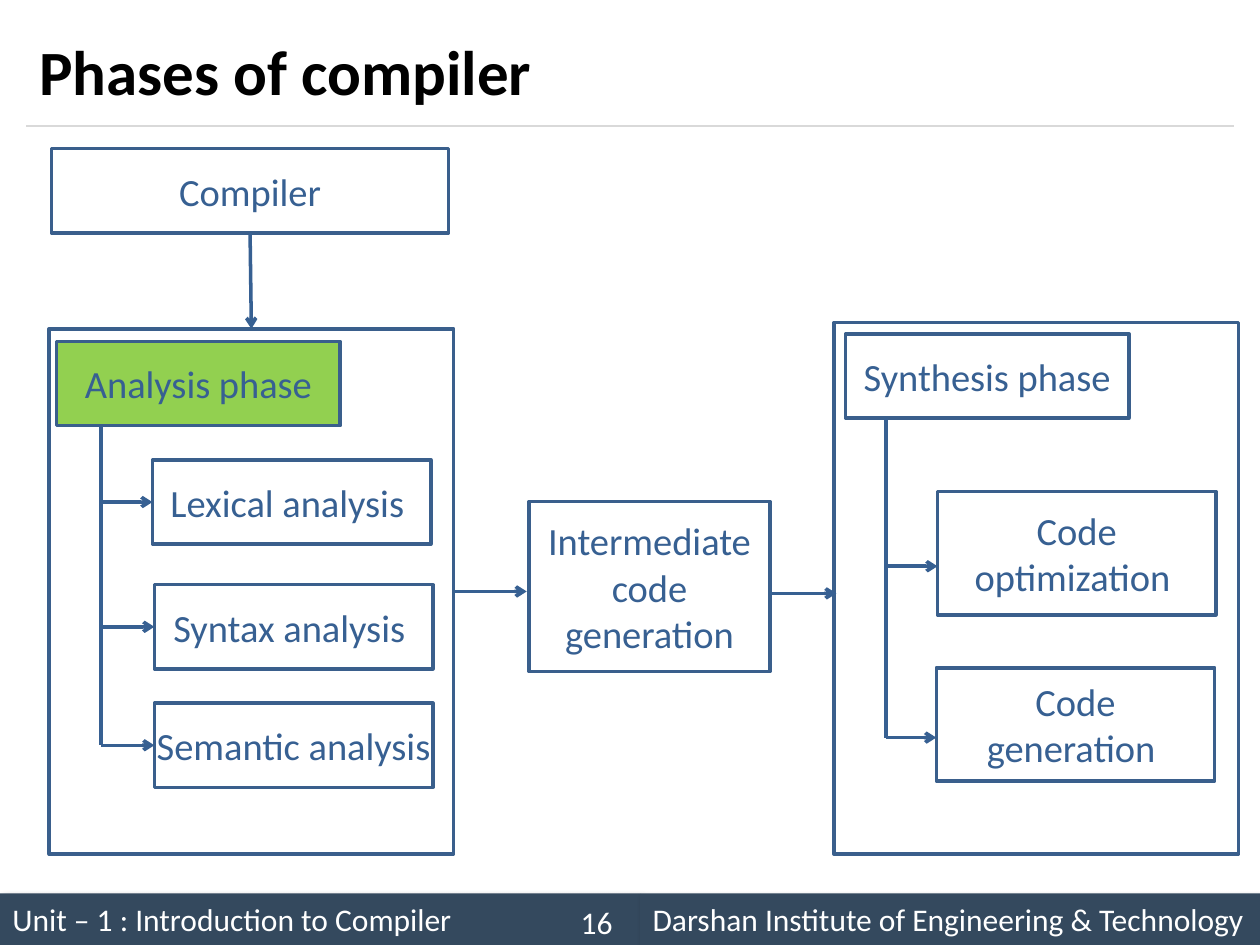
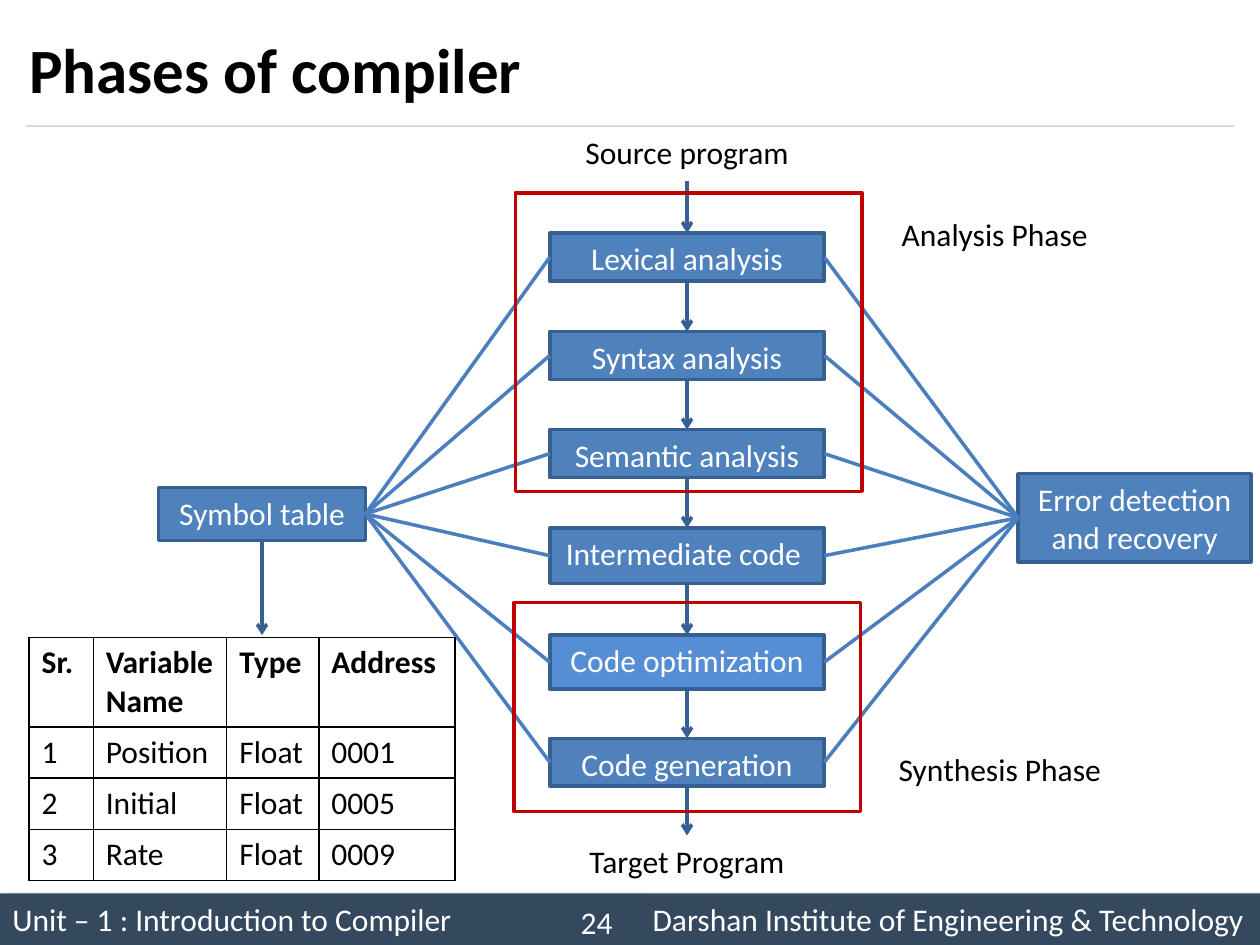
import itertools
import pptx
import pptx.util
import pptx.dml.color
import pptx.enum.shapes
import pptx.enum.text
import pptx.oxml
import pptx.oxml.ns
from lxml import etree

Pt = pptx.util.Pt
ANCHOR = pptx.enum.text.MSO_ANCHOR
ALIGN = pptx.enum.text.PP_ALIGN
RECT = pptx.enum.shapes.MSO_SHAPE.RECTANGLE
STRAIGHT = pptx.enum.shapes.MSO_CONNECTOR.STRAIGHT
TOP, LEFT, BASE, RIGHT = range(4)

FONT = "Calibri"
WHITE, BLACK, SLATE, GRAY = "FFFFFF", "000000", "34495E", "D9D9D9"
NAVY, EDGE, BLUE, SKY = "376092", "3A5F8C", "4F81BD", "558ED5"
WIRE, GREEN, RED = "4B7EBC", "92D050", "C00000"

TITLE = "Phases of compiler"
UNIT = "Unit – 1 : Introduction to Compiler"
SCHOOL = "Darshan Institute of Engineering & Technology"

START = ("Compiler", (29.5, 85, 226.8, 48.2))
MIDDLE = ("Intermediate code generation", (302.4, 286.6, 137.5, 97.2))
GROUPS = [
    {
        "frame": (28.1, 187.9, 231.1, 300.2),
        "head": ("Analysis phase", (32.4, 195.1, 162, 48.2), GREEN),
        "trunk": 57.6, "drop": 0,
        "parts": [
            ("Lexical analysis ", (87.1, 262.8, 159.1, 48.2)),
            ("Syntax analysis ", (88.2, 334.1, 159.1, 48.2)),
            ("Semantic analysis ", (88.2, 401.8, 159.1, 48.2)),
        ],
    },
    {
        "frame": (476.6, 184.3, 231.1, 303.8),
        "head": ("Synthesis phase", (483.1, 190.8, 162, 48.2), None),
        "trunk": 506.2, "drop": 7.5,
        "parts": [
            ("Code optimization ", (535.7, 280.8, 159.1, 70.6)),
            ("Code generation ", (535, 381.6, 159.1, 64.8)),
        ],
    },
]

STAGES = [
    ("Lexical analysis", 133.2, 27.4, BLUE),
    ("Syntax analysis", 189.4, 27.4, BLUE),
    ("Semantic analysis", 245.5, 27.4, BLUE),
    ("Intermediate code ", 301.7, 31.7, BLUE),
    ("Code optimization", 362.9, 31, SKY),
    ("Code generation", 421.9, 27.4, BLUE),
]
STAGE_X, STAGE_W, ENDS_W = 314.2, 156.8, 144
SOURCE = ("Source program", 72.7, 31)
TARGET = ("Target Program", 477.4, 27.4)
SYMBOL = ("Symbol table", (90.7, 278.6, 118.1, 30.2))
ERROR = ("Error detection and recovery", (581.8, 270.7, 133.2, 50.4))
LABELS = [
    ("Analysis Phase", (501.8, 119.5, 133.2, 36.7)),
    ("Synthesis Phase", (504.7, 424.8, 133.2, 36.7)),
]
FRAMES = [(294.5, 110.2, 198, 170.6), (293.8, 344.2, 198, 119.5)]
TABLE_AT = (16.6, 364.3)
COLS = [36.7, 76.3, 52.6, 77.8]
ROWS = [51.2, 29.2, 29.2, 29.2]
CELLS = [
    ("Sr.", "Variable\nName", "Type", "Address"),
    ("1", "Position", "Float", "0001"),
    ("2", "Initial", "Float", "0005"),
    ("3", "Rate", "Float", "0009"),
]


def paint(fmt, hue):
    if hue is None:
        fmt.background()
    else:
        fmt.solid()
        fmt.fore_color.rgb = pptx.dml.color.RGBColor.from_string(hue)


def write(frame, text, size, hue, bold=False, align=ALIGN.LEFT):
    for i, line in enumerate(text.split("\n")):
        para = frame.add_paragraph() if i else frame.paragraphs[0]
        para.alignment = align
        run = para.add_run()
        run.text = line
        run.font.name, run.font.size, run.font.bold = FONT, Pt(size), bold
        paint(run.font.fill, hue)


def box(slide, text, at, fill=None, edge=None, size=22, hue=NAVY,
        anchor=ANCHOR.MIDDLE, align=ALIGN.CENTER, inset=7.2):
    shape = slide.shapes.add_shape(RECT, *map(Pt, at))
    shape.shadow.inherit = False
    paint(shape.fill, fill)
    paint(shape.line.fill, edge)
    if edge:
        shape.line.width = Pt(2)
    frame = shape.text_frame
    frame.word_wrap = True
    frame.vertical_anchor = anchor
    frame.margin_left = frame.margin_right = Pt(inset)
    if text:
        write(frame, text, size, hue, align=align)
    return shape


def spot(end):
    return (0, 0) if hasattr(end[0], "shape_id") else map(Pt, end)


def link(slide, start, end, hue=NAVY, head=True, width=2):
    line = slide.shapes.add_connector(STRAIGHT, *spot(start), *spot(end))
    if hasattr(start[0], "shape_id"):
        line.begin_connect(*start)
    if hasattr(end[0], "shape_id"):
        line.end_connect(*end)
    paint(line.line.fill, hue)
    line.line.width = Pt(width)
    if head:
        tip = etree.SubElement(line.line._get_or_add_ln(),
                               pptx.oxml.ns.qn("a:tailEnd"))
        tip.set("type", "arrow")
    etree.SubElement(line._element.spPr, pptx.oxml.ns.qn("a:effectLst"))


def shade(shape):
    glow = shape._element.spPr.find(pptx.oxml.ns.qn("a:effectLst"))
    glow.append(pptx.oxml.parse_xml(
        '<a:outerShdw xmlns:a="http://schemas.openxmlformats.org/drawingml/2006/main" '
        'blurRad="50800" dist="38100" dir="2700000"><a:srgbClr val="000000">'
        '<a:alpha val="40000"/></a:srgbClr></a:outerShdw>'))


def base(deck, number, left, top):
    slide = deck.slides.add_slide(deck.slide_layouts[5])
    link(slide, (15.1, 72), (704.9, 72), GRAY, False, 0.75)
    for text, at in ((UNIT, (0, 510.5, 365.8, 29.5)),
                     (SCHOOL, (365.8, 510.5, 354.2, 29.5))):
        shade(box(slide, text, at, SLATE, size=18, hue=WHITE, align=ALIGN.LEFT))
    box(slide, number, (316.1, 512.6, 49.7, 28.8), size=18, hue=WHITE)
    title = slide.shapes.title
    title.left, title.top, title.width, title.height = map(Pt, (left, top, 689.8, 63.4))
    frame = title.text_frame
    frame.auto_size = pptx.enum.text.MSO_AUTO_SIZE.NONE
    frame.vertical_anchor = ANCHOR.MIDDLE
    write(frame, TITLE, 36, BLACK, True)
    return slide


def group(slide, data):
    frame = box(slide, "", data["frame"], edge=EDGE)
    text, at, fill = data["head"]
    box(slide, text, at, fill, EDGE)
    trunk, drop = data["trunk"], data["drop"]
    for text, spot_at in data["parts"]:
        x, y, w, h = spot_at
        inset = 0 if text.startswith("Semantic") else 7.2
        part = box(slide, text, spot_at, edge=EDGE, inset=inset)
        level = y + h / 2 + drop
        link(slide, (trunk, level), (x, level) if drop else (part, LEFT))
    link(slide, (trunk, at[1] + at[3]), (trunk, level), head=False)
    return frame


def tree(deck):
    slide = base(deck, "16", 15.1, 8.6)
    start = box(slide, *START, edge=EDGE)
    first, last = [group(slide, data) for data in GROUPS]
    box(slide, *MIDDLE, edge=EDGE)
    x, y, w, h = MIDDLE[1]
    link(slide, (start, BASE), (first, TOP))
    link(slide, (first, RIGHT), (x - 1.4, 338))
    link(slide, (x + w, 339.1), (GROUPS[1]["frame"][0] + 1.4, 339.1))


def block(slide, text, at, fill=BLUE, edge=NAVY, hue=WHITE):
    return box(slide, text, at, fill, edge, 18, hue, ANCHOR.TOP)


def grid(slide):
    shape = slide.shapes.add_table(
        len(ROWS), len(COLS), *map(Pt, TABLE_AT), Pt(sum(COLS)), Pt(sum(ROWS)))
    table = shape.table
    for col, width in zip(table.columns, COLS):
        col.width = Pt(width)
    for row, high in zip(table.rows, ROWS):
        row.height = Pt(high)
    for r, c in itertools.product(range(len(ROWS)), range(len(COLS))):
        cell = table.cell(r, c)
        write(cell.text_frame, CELLS[r][c], 18, BLACK, r == 0)
        props = cell._tc.get_or_add_tcPr()
        for side in ("lnL", "lnR", "lnT", "lnB"):
            rule = etree.SubElement(props, pptx.oxml.ns.qn("a:" + side), w="12700")
            solid = etree.SubElement(rule, pptx.oxml.ns.qn("a:solidFill"))
            etree.SubElement(solid, pptx.oxml.ns.qn("a:srgbClr"), val=BLACK)
        cell.fill.background()


def flow(deck):
    slide = base(deck, "24", 9.4, 7.2)
    symbol, error = block(slide, *SYMBOL), block(slide, *ERROR)
    stages = [block(slide, text, (STAGE_X, y, STAGE_W, h), fill)
              for text, y, h, fill in STAGES]
    side = STAGE_X + (STAGE_W - ENDS_W) / 2
    source, target = [block(slide, text, (side, y, ENDS_W, h), WHITE, None, BLACK)
                      for text, y, h in (SOURCE, TARGET)]
    for a, b in itertools.pairwise([source, *stages, target]):
        link(slide, (a, BASE), (b, TOP))
    for stage in stages:
        link(slide, (symbol, RIGHT), (stage, LEFT), WIRE, False)
        link(slide, (stage, RIGHT), (error, LEFT), WIRE, False)
    for text, at in LABELS:
        block(slide, text, at, WHITE, None, BLACK)
    for at in FRAMES:
        box(slide, "", at, edge=RED)
    grid(slide)
    x, y, w, h = SYMBOL[1]
    link(slide, (symbol, BASE), (x + w / 2, TABLE_AT[1] - 1.4))


def main():
    deck = pptx.Presentation()
    deck.slide_width, deck.slide_height = Pt(720), Pt(540)
    tree(deck)
    flow(deck)
    deck.save("out.pptx")


if __name__ == "__main__":
    main()
